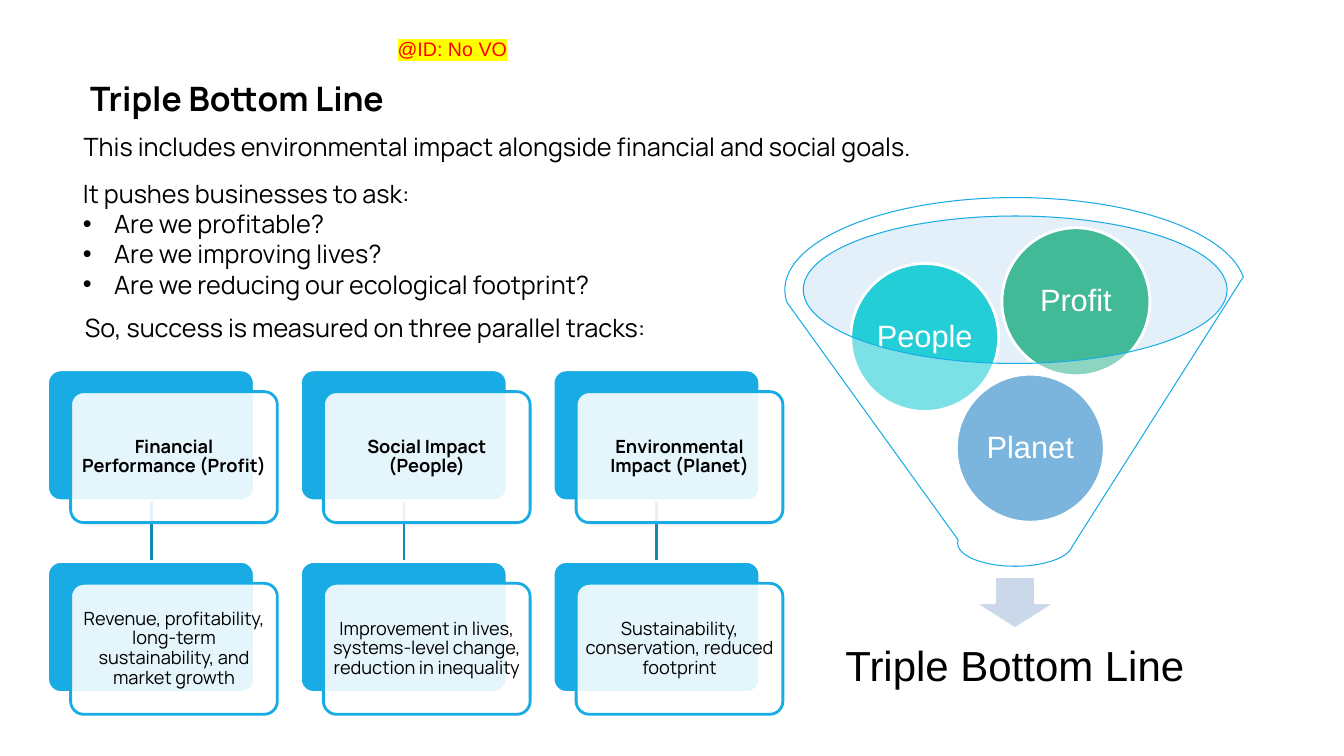
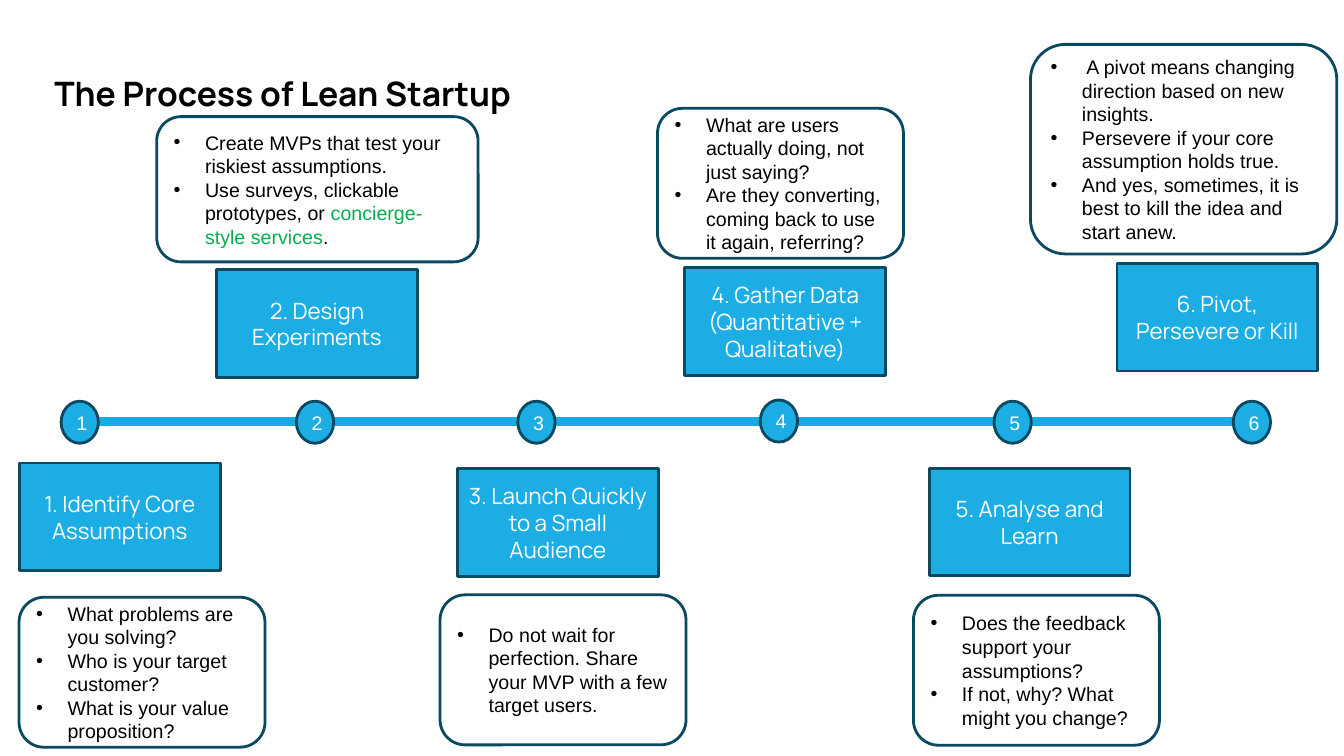
"""Build two slides: the triple bottom line and the lean startup process."""
from dataclasses import dataclass, replace

from lxml import etree
from pptx import Presentation
from pptx.dml.color import RGBColor
from pptx.enum import shapes as kinds, text as layout
from pptx.oxml.ns import qn
from pptx.util import Cm, Pt

BLACK = RGBColor(0x00, 0x00, 0x00)
WHITE = RGBColor(0xFF, 0xFF, 0xFF)
RED = RGBColor(0xFF, 0x00, 0x00)
YELLOW = RGBColor(0xFF, 0xFF, 0x00)
GREEN = RGBColor(0x00, 0xB0, 0x50)
CARD_BLUE = RGBColor(0x19, 0xAC, 0xE4)
LINK_BLUE = RGBColor(0x14, 0x88, 0xB3)
STEP_BLUE = RGBColor(0x1C, 0xAD, 0xE4)
TRACK_BLUE = RGBColor(0x16, 0xAB, 0xE2)
NAVY = RGBColor(0x0B, 0x49, 0x60)
MOUTH_BLUE = RGBColor(0xBA, 0xDB, 0xF2)
ARROW_GREY = RGBColor(0xCB, 0xD8, 0xEA)
PLANET_BLUE = RGBColor(0x23, 0x83, 0xC6)
PEOPLE_TEAL = RGBColor(0x24, 0xCE, 0xD7)
PROFIT_GREEN = RGBColor(0x42, 0xBA, 0x97)

Preset = kinds.MSO_SHAPE
CENTER = layout.PP_ALIGN.CENTER
INDENT = Cm(0.79)


@dataclass(frozen=True)
class Box:
    left: float
    top: float
    width: float
    height: float

    def lengths(self) -> tuple:
        return Cm(self.left), Cm(self.top), Cm(self.width), Cm(self.height)


@dataclass(frozen=True)
class Style:
    size: float
    font: str = "Manrope"
    color: RGBColor = BLACK
    bold: bool = False
    align: layout.PP_ALIGN | None = None
    spacing: float | None = None


@dataclass(frozen=True)
class Span:
    text: str
    color: RGBColor | None = None
    highlight: RGBColor | None = None


@dataclass(frozen=True)
class Line:
    spans: tuple[Span, ...]
    bullet: bool = False


@dataclass(frozen=True)
class Look:
    fill: RGBColor | None = None
    line: RGBColor | None = None
    weight: float = 2
    opacity: int = 100


@dataclass(frozen=True)
class Track:
    heading: str
    detail: str


@dataclass(frozen=True)
class Ball:
    label: str
    left: float
    top: float
    color: RGBColor


@dataclass(frozen=True)
class Step:
    label: str
    marker: tuple[float, float]
    box: tuple[float, float]
    note: Box
    points: tuple[Line, ...]


TITLE = Style(24, bold=True)
BODY = Style(18)
CARD = Style(13, align=CENTER, spacing=0.9)
BALL = Style(22, "Arial", WHITE, align=CENTER, spacing=0.9)
RESULT = Style(30, "Arial", align=CENTER, spacing=0.9)
TAG = Style(14, "Arial", RED)
MARKER = Style(14, "Arial", WHITE, align=CENTER)
STEP = Style(16, color=WHITE, align=CENTER)
NOTE = Style(14, "Arial")

STEP_LOOK = Look(STEP_BLUE, NAVY)
NOTE_LOOK = Look(WHITE, NAVY)


def plain(text: str) -> Line:
    return Line((Span(text),))


def bullets(*texts: str) -> tuple[Line, ...]:
    return tuple(Line((Span(text),), True) for text in texts)


TRACKS = (
    Track("Financial Performance (Profit)",
          "Revenue, profitability, long-term sustainability, and market growth"),
    Track("Social Impact (People)",
          "Improvement in lives, systems-level change, reduction in inequality"),
    Track("Environmental Impact (Planet)",
          "Sustainability, conservation, reduced footprint"),
)

BALLS = (
    Ball("Planet", 24.1, 9.43, PLANET_BLUE),
    Ball("People", 21.44, 6.64, PEOPLE_TEAL),
    Ball("Profit", 25.25, 5.74, PROFIT_GREEN),
)

STEPS = (
    Step("Identify Core Assumptions", (1.54, 10.11), (0.49, 11.67),
         Box(0.48, 15.05, 6.2, 3.78),
         bullets("What problems are you solving?", "Who is your target customer?",
                 "What is your value proposition?")),
    Step("Design Experiments", (7.47, 10.11), (5.46, 6.8),
         Box(3.95, 2.94, 8.1, 3.66),
         bullets("Create MVPs that test your riskiest assumptions.")
         + (Line((Span("Use surveys, clickable prototypes, or "),
                  Span("concierge-style services", GREEN), Span(".")), True),)),
    Step("Launch Quickly to a Small Audience", (13.05, 10.11), (11.53, 11.81),
         Box(11.09, 14.99, 6.2, 3.78),
         bullets("Do not wait for perfection. Share your MVP with a few target users.")),
    Step("Gather Data (Quantitative + Qualitative)", (19.16, 10.08), (17.26, 6.75),
         Box(16.57, 2.73, 6.2, 3.78),
         bullets("What are users actually doing, not just saying?",
                 "Are they converting, coming back to use it again, referring?")),
    Step("Analyse and Learn", (25.05, 10.11), (23.42, 11.8),
         Box(23.02, 15, 6.2, 3.78),
         bullets("Does the feedback support your assumptions?",
                 "If not, why? What might you change?")),
    Step("Pivot, Persevere or Kill", (31.08, 10.11), (28.15, 6.64),
         Box(25.97, 1.12, 7.72, 5.28),
         bullets(" A pivot means changing direction based on new insights.",
                 "Persevere if your core assumption holds true.",
                 "And yes, sometimes, it is best to kill the idea and start anew.")),
)


def write(shape, lines: tuple[Line, ...], style: Style,
          inset: tuple[float, float] = (0.25, 0.13), middle: bool = True) -> None:
    frame = shape.text_frame
    frame.word_wrap = True
    anchors = layout.MSO_ANCHOR
    frame.vertical_anchor = anchors.MIDDLE if middle else anchors.TOP
    frame.margin_left = frame.margin_right = Cm(inset[0])
    frame.margin_top = frame.margin_bottom = Cm(inset[1])
    for index, line in enumerate(lines):
        paragraph = frame.add_paragraph() if index else frame.paragraphs[0]
        paragraph.alignment = style.align or layout.PP_ALIGN.LEFT
        if style.spacing:
            paragraph.line_spacing = style.spacing
        if line.bullet:
            properties = paragraph._p.get_or_add_pPr()
            properties.set("marL", str(INDENT))
            properties.set("indent", str(-INDENT))
            etree.SubElement(properties, qn("a:buFont"), typeface="Arial")
            etree.SubElement(properties, qn("a:buChar"), char="•")
        for span in line.spans:
            run = paragraph.add_run()
            run.text = span.text
            run.font.size = Pt(style.size)
            run.font.bold = style.bold
            run.font.color.rgb = span.color or style.color
            run.font.name = style.font
            if span.highlight is not None:
                marking = etree.Element(qn("a:highlight"))
                etree.SubElement(marking, qn("a:srgbClr"), val=str(span.highlight))
                run._r.rPr.find(qn("a:solidFill")).addnext(marking)


def add_text(slide, box: Box, lines: tuple[Line, ...], style: Style) -> None:
    write(slide.shapes.add_textbox(*box.lengths()), lines, style, middle=False)


def paint(shape, look: Look) -> None:
    shape.shadow.inherit = False
    if look.fill is None:
        shape.fill.background()
    else:
        shape.fill.solid()
        shape.fill.fore_color.rgb = look.fill
    if look.opacity < 100:
        color = shape._element.spPr.find(qn("a:solidFill"))[0]
        etree.SubElement(color, qn("a:alpha"), val=str(look.opacity * 1000))
    if look.line is None:
        shape.line.fill.background()
    else:
        shape.line.color.rgb = look.line
        shape.line.width = Pt(look.weight)


def add_preset(slide, preset: Preset, box: Box, look: Look, corner: float | None = None):
    shape = slide.shapes.add_shape(preset, *box.lengths())
    if corner is not None:
        shape.adjustments[0] = corner
    paint(shape, look)
    return shape


def add_line(slide, start: tuple[float, float], end: tuple[float, float],
             color: RGBColor, weight: float) -> None:
    line = slide.shapes.add_connector(
        kinds.MSO_CONNECTOR.STRAIGHT, *(Cm(value) for value in start + end))
    line.line.color.rgb = color
    line.line.width = Pt(weight)
    etree.SubElement(line._element.spPr, qn("a:effectLst"))


def add_card(slide, left: float, top: float, text: str, style: Style) -> None:
    add_preset(slide, Preset.ROUNDED_RECTANGLE, Box(left, top, 5.21, 3.3),
               Look(CARD_BLUE, WHITE), 0.1)
    front = add_preset(slide, Preset.ROUNDED_RECTANGLE,
                       Box(left + 0.58, top + 0.55, 5.21, 3.3),
                       Look(WHITE, CARD_BLUE, opacity=89), 0.1)
    write(front, (plain(text),), style, (0.13, 0.13))


def add_funnel(slide) -> None:
    add_preset(slide, Preset.OVAL, Box(20.22, 5.44, 10.69, 3.71),
               Look(MOUTH_BLUE, opacity=40))
    add_preset(slide, Preset.DOWN_ARROW, Box(24.54, 14.53, 2.08, 1.32),
               Look(ARROW_GREY, WHITE))
    result = slide.shapes.add_textbox(*Box(20.6, 15.59, 9.96, 2.49).lengths())
    write(result, (plain("Triple Bottom Line"),), RESULT, (0.58, 0.58))
    for ball in BALLS:
        circle = add_preset(slide, Preset.OVAL, Box(ball.left, ball.top, 3.73, 3.73),
                            Look(ball.color, WHITE))
        write(circle, (plain(ball.label),), BALL, (0.08, 0.08))
    add_preset(slide, Preset.FUNNEL, Box(19.78, 4.98, 11.61, 9.29),
               Look(WHITE, CARD_BLUE, 0.75, 40))


def build_bottom_line(slide) -> None:
    add_text(slide, Box(2.02, 1.84, 16.9, 1.27), (plain("Triple Bottom Line"),), TITLE)
    add_text(slide, Box(1.86, 3.19, 30.73, 1.02), (plain(
        "This includes environmental impact alongside financial and social goals."),), BODY)
    card_tops = (9.32, 14.15)
    for column, track in enumerate(TRACKS):
        left = 1.2 + 6.37 * column
        add_line(slide, (left + 2.61, 12.62), (left + 2.61, card_tops[1]), LINK_BLUE, 2)
        add_card(slide, left, card_tops[0], track.heading, replace(CARD, bold=True))
        add_card(slide, left, card_tops[1], track.detail, CARD)
    add_text(slide, Box(1.84, 4.36, 16.97, 3.33), (plain("It pushes businesses to ask:"),)
             + bullets("Are we profitable?", "Are we improving lives?",
                       "Are we reducing our ecological footprint?"), BODY)
    add_funnel(slide)
    add_text(slide, Box(1.89, 7.75, 16.94, 1.02),
             (plain("So, success is measured on three parallel tracks:"),), BODY)
    add_text(slide, Box(9.77, 0.81, 5.05, 0.86),
             (Line((Span("@ID: No VO", highlight=YELLOW),)),), TAG)


def build_lean_startup(slide) -> None:
    add_text(slide, Box(1.12, 1.83, 12.9, 1.19),
             (plain("The Process of Lean Startup"),), replace(TITLE, spacing=0.9))
    add_line(slide, (1.73, 10.62), (31.85, 10.62), TRACK_BLUE, 6)
    for number, step in enumerate(STEPS, 1):
        marker = add_preset(slide, Preset.OVAL, Box(*step.marker, 0.94, 1.06), STEP_LOOK)
        write(marker, (plain(str(number)),), MARKER)
        box = add_preset(slide, Preset.RECTANGLE, Box(*step.box, 5.06, 2.71), STEP_LOOK)
        write(box, (plain(f"{number}. {step.label}"),), STEP)
        note = add_preset(slide, Preset.ROUNDED_RECTANGLE, step.note, NOTE_LOOK, 0.167)
        write(note, step.points, NOTE)


def main() -> None:
    deck = Presentation()
    deck.slide_width, deck.slide_height = Cm(33.87), Cm(19.05)
    for build in (build_bottom_line, build_lean_startup):
        build(deck.slides.add_slide(deck.slide_layouts[6]))
    deck.save("out.pptx")


if __name__ == "__main__":
    main()
